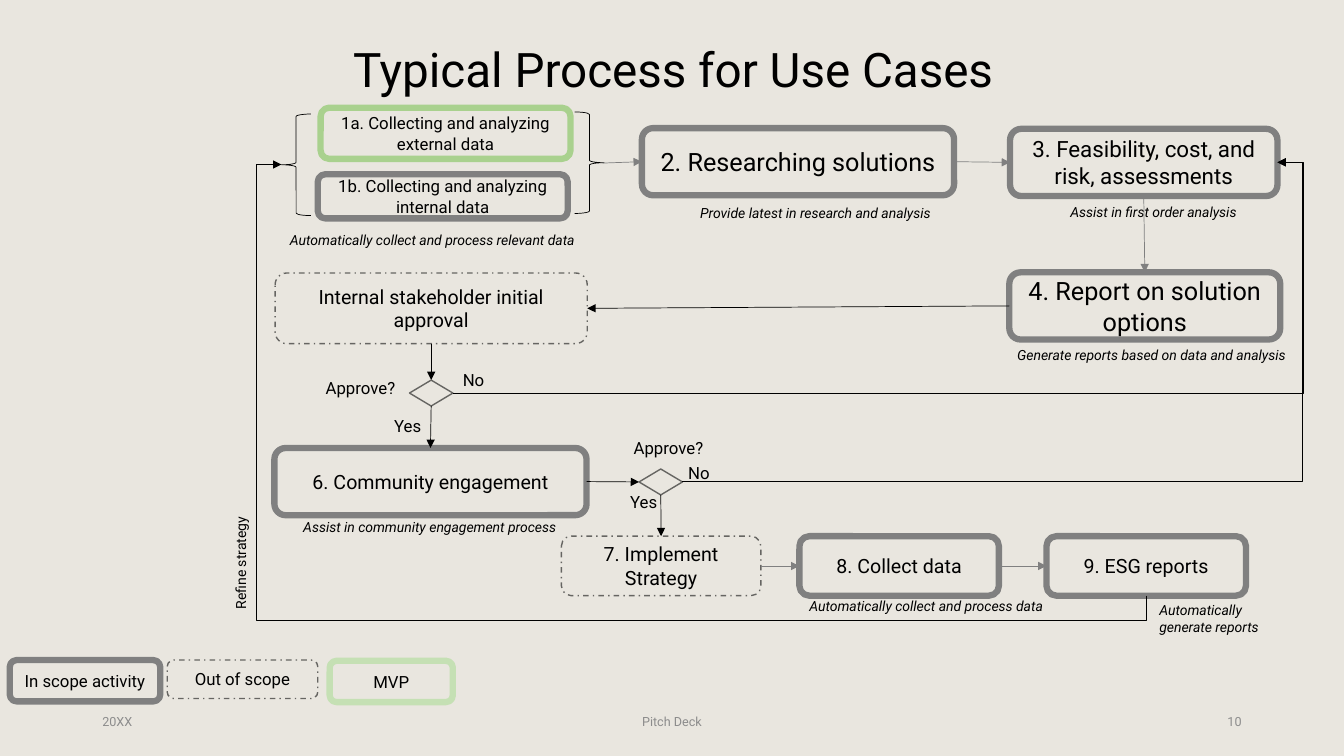
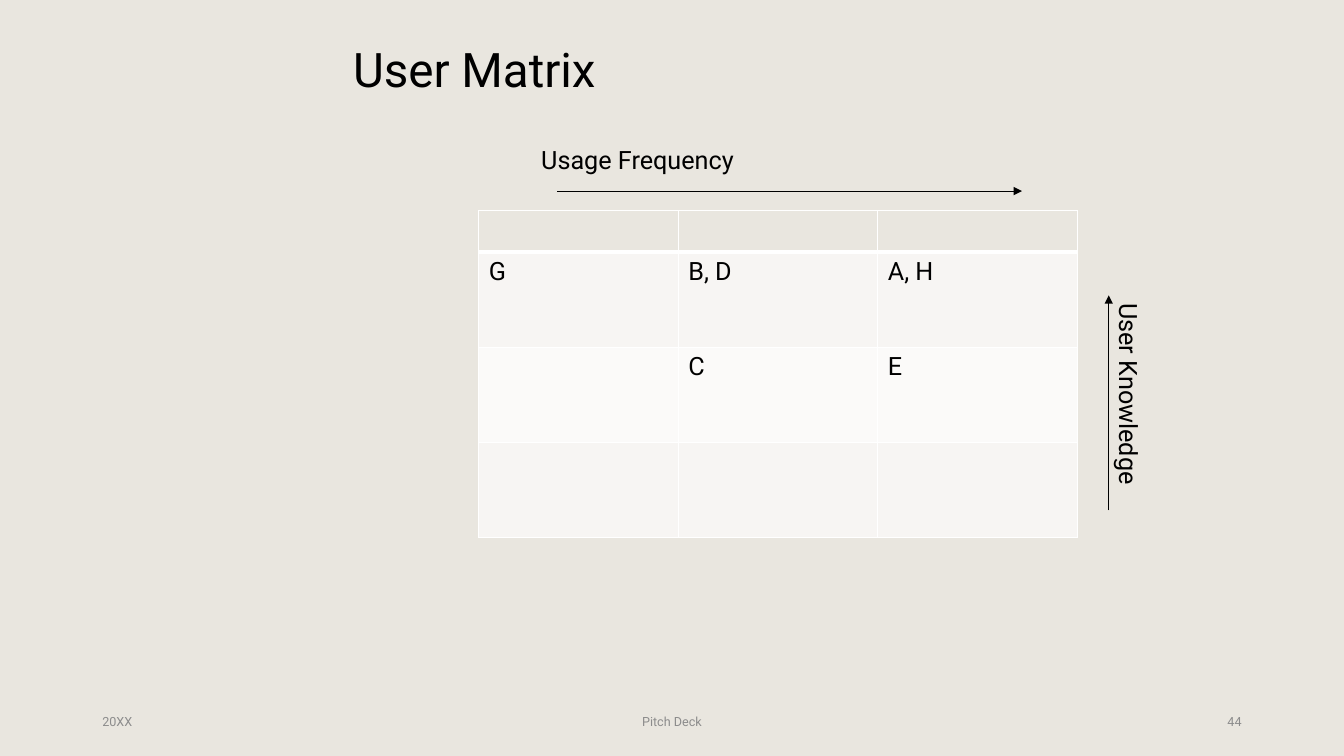
from dataclasses import dataclass

from lxml.etree import SubElement
from pptx import Presentation
from pptx.dml.color import RGBColor
from pptx.enum.dml import MSO_LINE
from pptx.enum.shapes import MSO_CONNECTOR, MSO_SHAPE
from pptx.enum.text import MSO_ANCHOR, PP_ALIGN
from pptx.oxml.ns import qn
from pptx.util import Pt


@dataclass(frozen=True)
class Theme:
    font: str = "Roboto"
    paper: str = "E9E6DF"
    ink: str = "000000"
    muted: str = "8C8C8C"
    scope: str = "808080"
    outline: str = "666562"
    mvp: str = "A9D18E"
    mvp_key: str = "C5E0B4"
    rule: str = "FFFFFF"
    band_odd: str = "F7F5F3"
    band_even: str = "FBFAF9"
    title: int = 34
    large: int = 18
    medium: int = 16
    body: int = 14
    label: int = 12
    caption: int = 10
    footer: int = 9


T = Theme()
TOP, LEFT, BOTTOM, RIGHT = range(4)


def rgb(value):
    return RGBColor.from_string(value)


# Text and shapes
def write(tf, text, size=T.label, color=T.ink, italic=False,
          align=PP_ALIGN.LEFT, anchor=MSO_ANCHOR.TOP):
    tf.word_wrap = True
    tf.vertical_anchor = anchor
    p = tf.paragraphs[0]
    p.alignment = align
    r = p.add_run()
    r.text = text
    r.font.name, r.font.size, r.font.italic = T.font, Pt(size), italic
    r.font.color.rgb = rgb(color)


def add_text(s, text, x, y, w, h=21.5, rotation=0, **fmt):
    sp = s.shapes.add_textbox(Pt(x), Pt(y), Pt(w), Pt(h))
    sp.rotation = rotation
    write(sp.text_frame, text, **fmt)


def add_node(s, x, y, w, h, text="", size=T.body, color=T.scope, weight=4.5,
             dash=None, kind=MSO_SHAPE.ROUNDED_RECTANGLE, filled=True):
    sp = s.shapes.add_shape(kind, Pt(x), Pt(y), Pt(w), Pt(h))
    sp.shadow.inherit = False
    if filled:
        sp.fill.solid()
        sp.fill.fore_color.rgb = rgb(T.paper)
    else:
        sp.fill.background()
    sp.line.color.rgb, sp.line.width = rgb(color), Pt(weight)
    if dash:
        sp.line.dash_style = dash
    if text:
        write(sp.text_frame, text, size=size, align=PP_ALIGN.CENTER,
              anchor=MSO_ANCHOR.MIDDLE)
    return sp


OUT_OF_SCOPE = dict(color=T.outline, weight=1, dash=MSO_LINE.DASH_DOT)


# Connectors
def style_arrow(c, color):
    c.line.color.rgb, c.line.width = rgb(color), Pt(0.5)
    sp_pr = c._element.spPr
    SubElement(sp_pr.find(qn("a:ln")), qn("a:tailEnd"), type="triangle")
    SubElement(sp_pr, qn("a:effectLst"))


def side(sp, i):
    mid_x, mid_y = sp.left + sp.width // 2, sp.top + sp.height // 2
    return ((mid_x, sp.top), (sp.left, mid_y),
            (mid_x, sp.top + sp.height), (sp.left + sp.width, mid_y))[i]


def add_arrow(s, start, end, color=T.ink):
    c = s.shapes.add_connector(MSO_CONNECTOR.STRAIGHT, *start, *end)
    style_arrow(c, color)
    return c


def join(s, a, a_side, b, b_side, color=T.ink):
    c = add_arrow(s, side(a, a_side), side(b, b_side), color)
    c.begin_connect(a, a_side)
    c.end_connect(b, b_side)


def set_bends(c, *ratios):
    guides = c._element.spPr.find(qn("a:prstGeom")).find(qn("a:avLst"))
    for i, ratio in enumerate(ratios, 1):
        SubElement(guides, qn("a:gd"), name=f"adj{i}",
                   fmla=f"val {round(ratio * 100000)}")


def add_elbow(s, start, end, via_x):
    c = s.shapes.add_connector(MSO_CONNECTOR.ELBOW, *start, *end)
    style_arrow(c, T.ink)
    set_bends(c, (via_x - start[0]) / (end[0] - start[0]))


def add_return_loop(s, start, end, via_x, via_y):
    """Leave downwards, run left past the end, then climb and enter it."""
    rise, run = start[1] - end[1], start[0] - end[0]
    x = (start[0] + end[0] - rise) // 2
    y = (start[1] + end[1] - run) // 2
    c = s.shapes.add_connector(MSO_CONNECTOR.ELBOW, x, y, x + rise, y + run)
    style_arrow(c, T.ink)
    c.rotation = 90
    sp_pr = c._element.spPr
    sp_pr.find(qn("a:xfrm")).set("flipH", "1")
    sp_pr.find(qn("a:prstGeom")).set("prst", "bentConnector4")
    set_bends(c, (start[1] - via_y) / rise, (start[0] - via_x) / run)


# Shared frame: title and footer
def add_framed_slide(prs, title, number):
    s = prs.slides.add_slide(prs.slide_layouts[5])
    sp = s.shapes.title
    sp.left, sp.top, sp.width, sp.height = Pt(245), Pt(25), Pt(706), Pt(48)
    write(sp.text_frame, title, size=T.title)
    for text, x, w, align in (("20XX", 66, 216, PP_ALIGN.LEFT),
                              ("Pitch Deck", 318, 324, PP_ALIGN.CENTER),
                              (number, 678, 216, PP_ALIGN.RIGHT)):
        add_text(s, text, x, 500.5, w, 29, size=T.footer, color=T.muted,
                 align=align, anchor=MSO_ANCHOR.MIDDLE)
    return s


# Process slide
def add_flow(s, x, y):
    def node(dx, dy, w, h, text="", **fmt):
        return add_node(s, x + dx, y + dy, w, h, text, **fmt)

    def point(dx, dy):
        return Pt(x + dx), Pt(y + dy)

    # Activities
    node(49, 2, 178.5, 36.5, "1a. Collecting and analyzing external data",
         size=T.label, color=T.mvp)
    node(47, 49.5, 178.5, 31.5, "1b. Collecting and analyzing internal data",
         size=T.label)
    research = node(278.5, 16.5, 223, 48, "2. Researching solutions", size=T.large)
    feasibility = node(541.5, 17, 191, 48, "3. Feasibility, cost, and risk, assessments",
                       size=T.medium)
    report = node(541, 119.5, 193.5, 48, "4. Report on solution options", size=T.large)
    approval = node(16.5, 120, 223, 50.5, "Internal stakeholder initial approval",
                    **OUT_OF_SCOPE)
    community = node(16, 245, 223, 48, "6. Community engagement")
    implement = node(221, 308, 142.5, 42.5, "7. Implement Strategy", **OUT_OF_SCOPE)
    collect = node(391, 308, 142.5, 42.5, "8. Collect data")
    esg = node(567.5, 308, 142.5, 42.5, "9. ESG reports")

    # Decisions and braces
    first, second = (node(dx, dy, 31, 18.5, kind=MSO_SHAPE.FLOWCHART_DECISION,
                          color=T.outline, weight=1)
                     for dx, dy in ((112.5, 196.5), (276.5, 260)))
    for dx, dy, kind in ((21, 6.5, MSO_SHAPE.LEFT_BRACE),
                         (230.5, 5, MSO_SHAPE.RIGHT_BRACE)):
        node(dx, dy, 21, 72.5, kind=kind, color=T.ink, weight=0.5, filled=False)

    # Captions and branch labels
    for text, dx, dy, w in (
            ("Automatically collect and process relevant data", 20, 86.5, 245),
            ("Provide latest in research and analysis", 313, 67.5, 245),
            ("Assist in first order analysis", 577.5, 67, 169),
            ("Generate reports based on data and analysis", 539.5, 169, 209.5),
            ("Assist in community engagement process", 29.5, 292, 222.5),
            ("Automatically collect and process data", 391, 348.5, 222.5),
            ("Automatically generate reports", 641, 351, 98)):
        add_text(s, text, x + dx, y + dy, w, size=T.caption, italic=True)
    for text, dx, dy, w in (("Approve?", 45.5, 191.5, 79), ("No", 143.5, 185.5, 79),
                            ("Yes", 94.5, 218.5, 36), ("Approve?", 265.5, 234.5, 79),
                            ("No", 304.5, 252, 79), ("Yes", 263, 272.5, 40)):
        add_text(s, text, x + dx, y + dy, w)
    add_text(s, "Refine strategy", x - 59, y + 306.5, 102, 19.5, rotation=270,
             size=T.caption)

    # Straight steps
    c = add_arrow(s, point(250.5, 41.5), side(research, LEFT), T.scope)
    c.end_connect(research, LEFT)
    for a, a_side, b, b_side in ((research, RIGHT, feasibility, LEFT),
                                 (feasibility, BOTTOM, report, TOP),
                                 (implement, RIGHT, collect, LEFT),
                                 (collect, RIGHT, esg, LEFT)):
        join(s, a, a_side, b, b_side, T.scope)
    for a, a_side, b, b_side in ((report, LEFT, approval, RIGHT),
                                 (approval, BOTTOM, first, TOP),
                                 (first, BOTTOM, community, TOP),
                                 (community, RIGHT, second, LEFT),
                                 (second, BOTTOM, implement, TOP)):
        join(s, a, a_side, b, b_side)

    # Return paths
    right_lane, _ = point(750.5, 0)
    for decision in (first, second):
        add_elbow(s, side(decision, RIGHT), side(feasibility, RIGHT), right_lane)
    add_return_loop(s, side(esg, BOTTOM), point(21, 42.5), *point(3, 368.5))


def add_legend(s, x, y):
    add_node(s, x, y, 107.5, 29.5, "In scope activity", size=T.label)
    add_node(s, x + 112.5, y, 107.5, 27.5, "Out of scope", size=T.label, **OUT_OF_SCOPE)
    add_node(s, x + 228.5, y + 0.5, 88, 29.5, "MVP", size=T.label, color=T.mvp_key)


# Matrix slide
def set_border(cell, edge, weight):
    ln = SubElement(cell._tc.get_or_add_tcPr(), qn(f"a:{edge}"), w=str(Pt(weight)))
    SubElement(SubElement(ln, qn("a:solidFill")), qn("a:srgbClr"), val=T.rule)


def add_matrix(s, x, y, col_w=142.5, head_h=29.5, row_h=68):
    rows = (("", "", ""), ("G", "B, D", "A, H"), ("", "C", "E"), ("", "", ""))
    fills = (T.paper, T.band_odd, T.band_even, T.band_odd)
    w, h = 3 * col_w, head_h + 3 * row_h
    table = s.shapes.add_table(4, 3, Pt(x), Pt(y), Pt(w), Pt(h)).table
    table.first_row = table.horz_banding = False
    for col in table.columns:
        col.width = Pt(col_w)
    for i, (texts, fill) in enumerate(zip(rows, fills)):
        table.rows[i].height = Pt(row_h if i else head_h)
        for j, text in enumerate(texts):
            cell = table.cell(i, j)
            for edge, weight in (("lnL", 1), ("lnR", 1), ("lnT", 3 if i == 1 else 1),
                                 ("lnB", 3 if i == 0 else 1)):
                set_border(cell, edge, weight)
            cell.fill.solid()
            cell.fill.fore_color.rgb = rgb(fill)
            if text:
                write(cell.text_frame, text, size=T.large)

    # Axes
    add_text(s, "Usage Frequency", x + 37.5, y - 51, 187, 29, size=T.large)
    add_arrow(s, (Pt(x + 56), Pt(y - 14)), (Pt(x + 388), Pt(y - 14)))
    add_text(s, "User Knowledge", x + w - 56.5, y + 138, 187, 29, rotation=90,
             size=T.large)
    add_arrow(s, (Pt(x + w + 22.5), Pt(y + 214)), (Pt(x + w + 22.5), Pt(y + 60.5)))


def main():
    prs = Presentation()
    prs.slide_width, prs.slide_height = Pt(960), Pt(540)
    bg = prs.slide_master.background.fill
    bg.solid()
    bg.fore_color.rgb = rgb(T.paper)

    s = add_framed_slide(prs, "Typical Process for Use Cases", "10")
    add_flow(s, 180, 75)
    add_legend(s, 7, 471.5)

    s = add_framed_slide(prs, "User Matrix", "44")
    add_matrix(s, 342, 150.5)
    prs.save("out.pptx")


if __name__ == "__main__":
    main()
